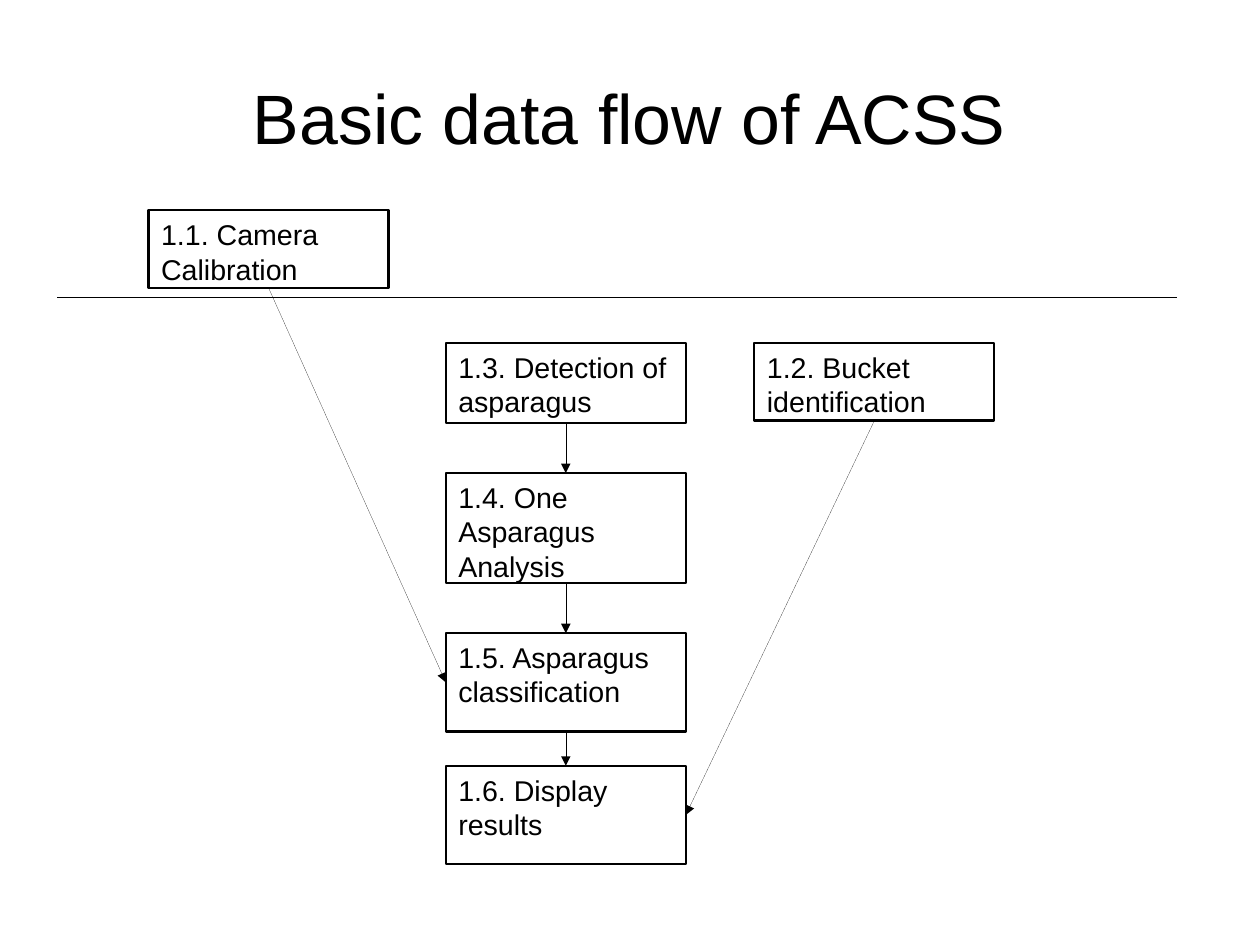
"""Draw the basic data flow of ACSS as boxes joined by arrows."""
from dataclasses import dataclass
from typing import NamedTuple

from lxml import etree
from pptx import Presentation
from pptx import util as u
from pptx.dml.color import RGBColor
from pptx.enum import shapes, text
from pptx.oxml import ns


@dataclass(frozen=True)
class Theme:
    """Colours, font, type sizes and line widths."""
    ink: RGBColor = RGBColor(0, 0, 0)
    font: str = "Arial"
    title: int = 44
    body: int = 18
    frame: float = 1.45
    rule: float = 0.75


class Step(NamedTuple):
    """A process box: its label, and its place in grid cells."""
    label: str
    col: float
    row: float
    rows: float


class Flow(NamedTuple):
    """An arrow from the bottom of one step to a site of another."""
    start: str
    end: str
    site: int


THEME = Theme()
CELL = 0.1
WIDE = 21
LEFT, MID, RIGHT = 13, 39, 66
TOP, WEST, BOTTOM, EAST = range(4)

STEPS = {
    "1.1": Step("Camera Calibration", LEFT, 18.4, 6.8),
    "1.2": Step("Bucket identification", RIGHT, 30, 6.8),
    "1.3": Step("Detection of asparagus", MID, 30, 7),
    "1.4": Step("One Asparagus Analysis", MID, 41.4, 9.6),
    "1.5": Step("Asparagus classification", MID, 55.4, 8.6),
    "1.6": Step("Display results", MID, 67, 8.6),
}
FLOWS = [
    Flow("1.3", "1.4", TOP),
    Flow("1.4", "1.5", TOP),
    Flow("1.5", "1.6", TOP),
    Flow("1.1", "1.5", WEST),
    Flow("1.2", "1.6", EAST),
]


def grid(*cells: float) -> list[int]:
    """Turn grid cells into lengths."""
    return [u.Inches(cell * CELL) for cell in cells]


def write(shape, words: str, size: int, align, anchor, pad: tuple[float, float]) -> None:
    """Set the text of a shape and format it."""
    frame = shape.text_frame
    frame.text = words
    frame.word_wrap = True
    frame.vertical_anchor = anchor
    frame.margin_left = frame.margin_right = u.Inches(pad[0])
    frame.margin_top = frame.margin_bottom = u.Inches(pad[1])
    para = frame.paragraphs[0]
    para.alignment = align
    font = para.runs[0].font
    font.name, font.size = THEME.font, u.Pt(size)
    font.color.rgb = THEME.ink


def box(slide, number: str, step: Step):
    """Draw one numbered process box."""
    shape = slide.shapes.add_shape(
        shapes.MSO_SHAPE.RECTANGLE, *grid(step.col, step.row, WIDE, step.rows))
    shape.shadow.inherit = False
    shape.fill.background()
    shape.line.color.rgb = THEME.ink
    shape.line.width = u.Pt(THEME.frame)
    write(shape, f"{number}. {step.label}", THEME.body,
          text.PP_ALIGN.LEFT, text.MSO_ANCHOR.TOP, (0.11, 0.06))
    return shape


def link(slide, ends: list[int]):
    """Draw a straight hairline without a shadow or theme style."""
    line = slide.shapes.add_connector(shapes.MSO_CONNECTOR.STRAIGHT, *ends)
    line.line.color.rgb = THEME.ink
    etree.SubElement(line._element.spPr, ns.qn("a:effectLst"))
    line._element.remove(line._element.find(ns.qn("p:style")))
    return line


def arrow(slide, boxes: dict, flow: Flow) -> None:
    """Join two boxes with an arrow."""
    line = link(slide, grid(0, 0, 0, 0))
    line.begin_connect(boxes[flow.start], BOTTOM)
    line.end_connect(boxes[flow.end], flow.site)
    etree.SubElement(line.line._get_or_add_ln(), ns.qn("a:tailEnd"), type="triangle")


def main() -> None:
    """Build and save the slide."""
    deck = Presentation()
    deck.slide_width, deck.slide_height = u.Cm(28), u.Cm(21)
    slide = deck.slides.add_slide(deck.slide_layouts[6])
    title = slide.shapes.add_textbox(*grid(5.5, 3.3, 99.2, 13.8))
    write(title, "Basic data flow of ACSS", THEME.title,
          text.PP_ALIGN.CENTER, text.MSO_ANCHOR.MIDDLE, (0, 0))
    boxes = {number: box(slide, number, step) for number, step in STEPS.items()}
    for flow in FLOWS:
        arrow(slide, boxes, flow)
    rule = link(slide, grid(5, 26, 103, 26))
    rule.line.width = u.Pt(THEME.rule)
    deck.save("out.pptx")


main()
